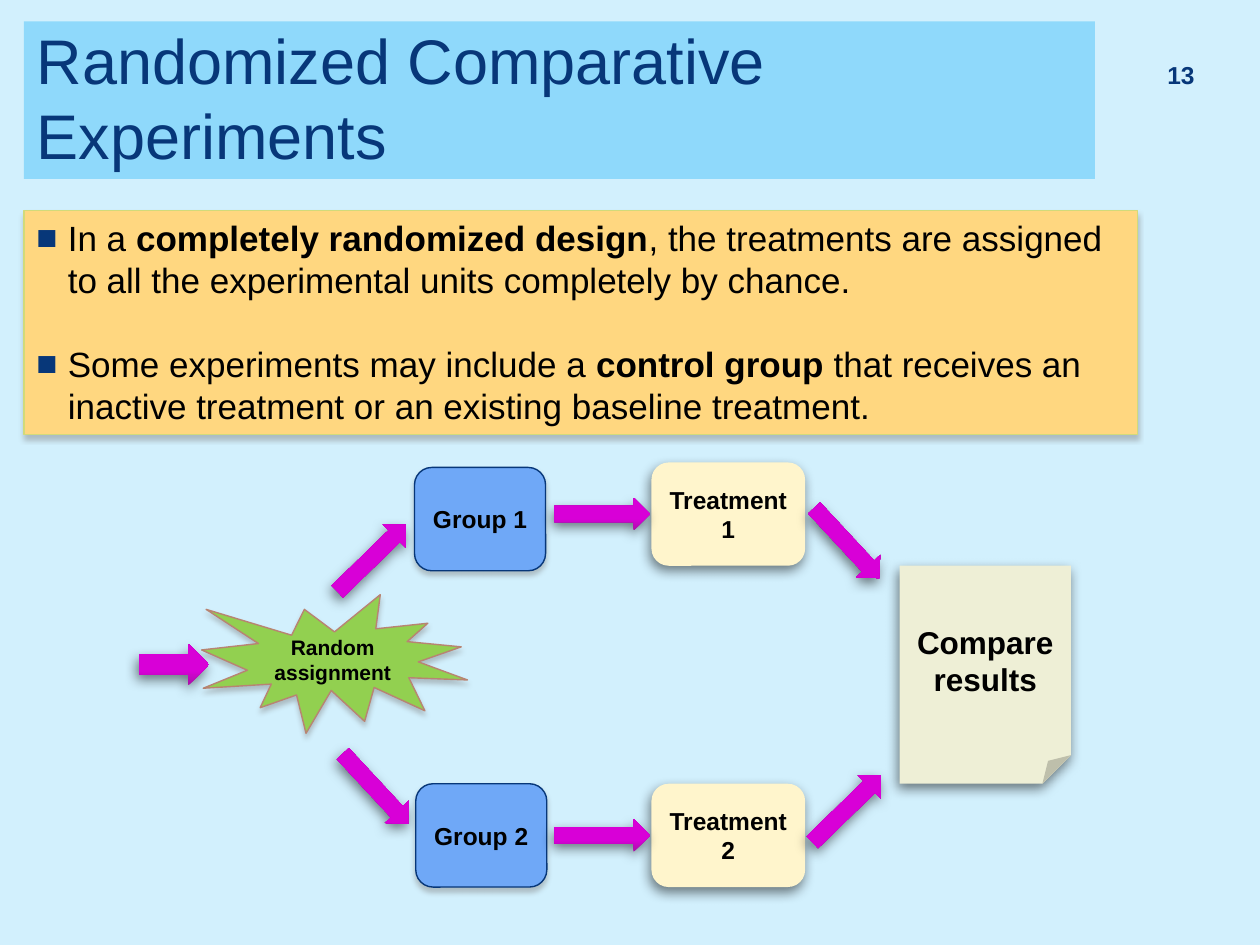
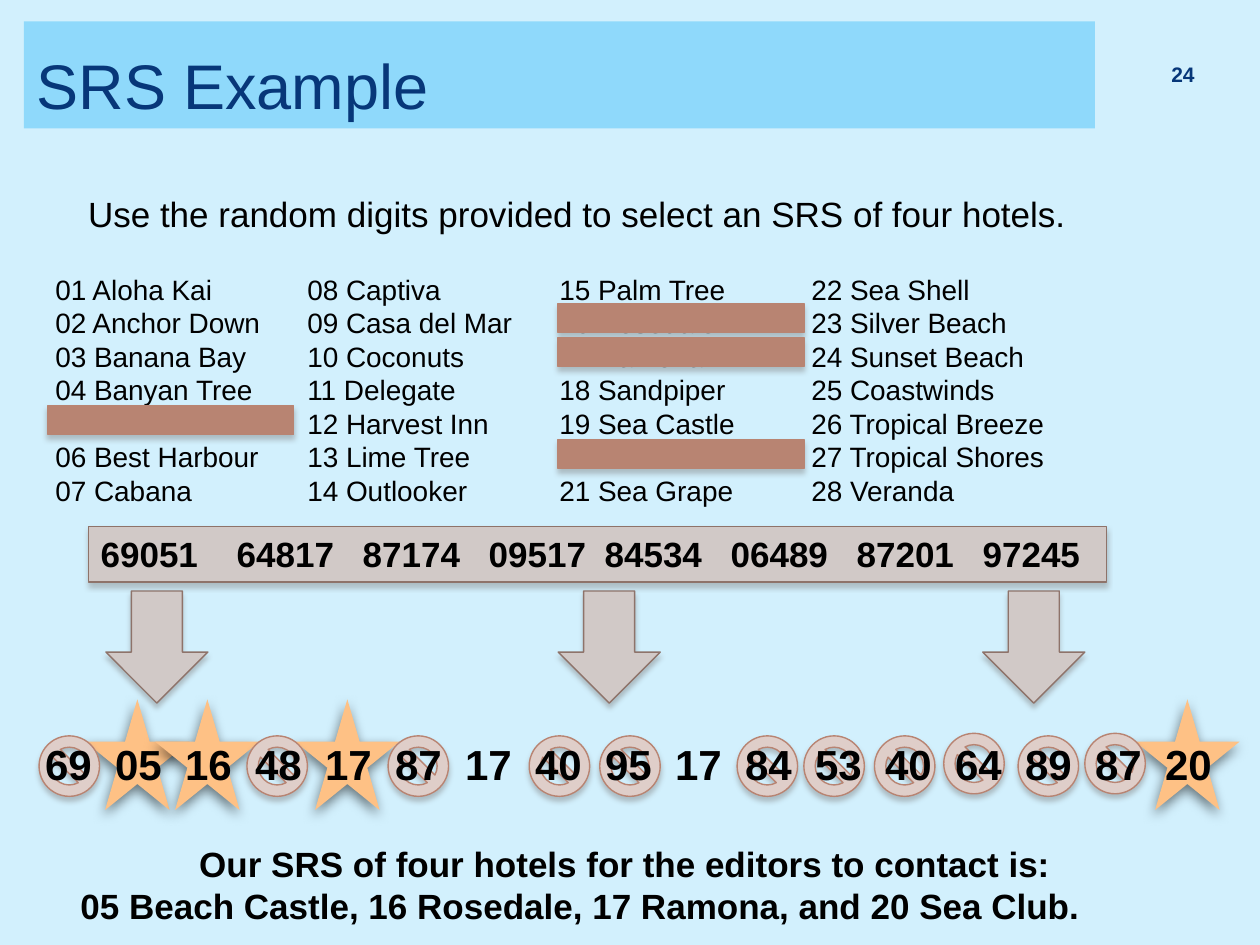
from lxml.etree import SubElement
from pptx import Presentation
from pptx.dml.color import RGBColor
from pptx.enum.shapes import MSO_SHAPE as Shape
from pptx.enum.text import MSO_ANCHOR as Anchor, MSO_AUTO_SIZE as AutoSize, PP_ALIGN as Align
from pptx.oxml.ns import qn
from pptx.util import Inches, Pt

NAVY, BLACK, SKY, PALE = "073779", "000000", "8FD9FB", "D2F0FD"
ROSE, TAUPE, TAUPE_EDGE = "B88472", "D1C9C7", "8E736A"
SOFT = ("808080", 45, 3, 2.4, 90)
DEEP = ("000000", 50, 7, 3, 110)

DESIGN_POINTS = [
    "In a *completely randomized design*, the treatments are assigned to all "
    "the experimental units completely by chance.",
    "Some experiments may include a *control group* that receives an inactive "
    "treatment or an existing baseline treatment.",
]
GROUP = {"fill": "6FA8F7", "line": NAVY, "shadow": SOFT}
TREATMENT = {"fill": "FFF5CC", "shadow": DEEP}
STAGES = [
    ("Random assignment", Shape.EXPLOSION1, (1.6, 4.72, 2.11, 1.1), 12,
     {"fill": "92D050", "line": ROSE, "shadow": SOFT}),
    ("Group 1", Shape.ROUNDED_RECTANGLE, (3.29, 3.71, 1.04, 0.82), 14, GROUP),
    ("Group 2", Shape.ROUNDED_RECTANGLE, (3.3, 6.22, 1.04, 0.82), 14, GROUP),
    ("Treatment 1", Shape.ROUNDED_RECTANGLE, (5.17, 3.67, 1.22, 0.82), 14, TREATMENT),
    ("Treatment 2", Shape.ROUNDED_RECTANGLE, (5.17, 6.22, 1.22, 0.82), 14, TREATMENT),
    ("Compare results", Shape.FOLDED_CORNER, (7.14, 4.49, 1.36, 1.73), 18,
     {"fill": "EEEFD6", "shadow": DEEP}),
]
FLOW_SIZE = (0.76, 0.26)
FLOWS = [
    ((2.57, 4.3), 315.8), ((2.6, 6.13), 47.1),
    ((4.4, 3.95), 0), ((4.4, 6.5), 0),
    ((6.34, 6.29), 315.8), ((6.34, 4.18), 47.1),
]

HOTELS = [
    "Aloha Kai", "Anchor Down", "Banana Bay", "Banyan Tree", "Beach Castle",
    "Best Harbour", "Cabana", "Captiva", "Casa del Mar", "Coconuts", "Delegate",
    "Harvest Inn", "Lime Tree", "Outlooker", "Palm Tree", "Rosedale", "Ramona",
    "Sandpiper", "Sea Castle", "Sea Club", "Sea Grape", "Sea Shell",
    "Silver Beach", "Sunset Beach", "Coastwinds", "Tropical Breeze",
    "Tropical Shores", "Veranda",
]
HOTEL_ROWS = 7
CHOSEN_BARS = [(0.38, 3.22), (4.43, 2.41), (4.43, 2.68), (4.43, 3.49)]
RANDOM_DIGITS = ["69051", "64817", "87174", "09517", "84534", "06489", "87201", "97245"]
DIGIT_STOPS = [1.08, 2.08, 3.08, 4, 5, 6, 7]
DOWN_ARROW_LEFTS = [0.84, 4.43, 7.8]
DRAWS = "69 05 16 48 17 87 17 40 95 17 84 53 40 64 89 87 20".split()
DRAW_PITCH = 40 / 72
STAR_DRAWS = [1, 2, 4, 16]
REJECTED_LEFTS = {
    5.84: [0.31, 1.96, 3.08, 4.2, 4.76, 5.85, 6.38, 6.94, 8.08],
    5.82: [7.49, 8.61],
}
CONCLUSION = [
    "Our SRS of four hotels for the editors to contact is:",
    "05 Beach Castle, 16 Rosedale, 17 Ramona, and 20 Sea Club.",
]


def color(value):
    return RGBColor.from_string(value)


def place(shape, box):
    for side, length in zip(("left", "top", "width", "height"), box):
        setattr(shape, side, Inches(length))


def add_shadow(shape, shade, alpha, blur, distance, angle):
    effects = shape._element.spPr.find(qn("a:effectLst"))
    outer = SubElement(effects, qn("a:outerShdw"), blurRad=str(Pt(blur)),
                       dist=str(Pt(distance)), dir=str(angle * 60000),
                       algn="ctr", rotWithShape="0")
    tint = SubElement(outer, qn("a:srgbClr"), val=shade)
    SubElement(tint, qn("a:alpha"), val=str(alpha * 1000))


def draw(slide, kind, box, fill=None, line=None, shadow=None):
    shape = slide.shapes.add_shape(kind, *map(Inches, box))
    shape.shadow.inherit = False
    if fill:
        shape.fill.solid()
        shape.fill.fore_color.rgb = color(fill)
    if line:
        shape.line.color.rgb = color(line)
        shape.line.width = Pt(0.79)
    else:
        shape.line.fill.background()
    if shadow:
        add_shadow(shape, *shadow)
    return shape


def add_bullet(paragraph):
    props = paragraph._p.get_or_add_pPr()
    props.set("marL", str(Inches(0.25)))
    props.set("indent", str(-Inches(0.25)))
    SubElement(SubElement(props, qn("a:buClr")), qn("a:srgbClr"), val=NAVY)
    SubElement(props, qn("a:buFont"), typeface="Arial")
    SubElement(props, qn("a:buChar"), char="■")


def add_tabs(paragraph, stops):
    tabs = SubElement(paragraph._p.get_or_add_pPr(), qn("a:tabLst"))
    for stop in stops:
        SubElement(tabs, qn("a:tab"), pos=str(Inches(stop)), algn="l")


def write(shape, lines, size, ink=BLACK, bold=False, align=Align.LEFT,
          anchor=Anchor.TOP, wrap=True, fit=AutoSize.NONE, bullets=False, stops=()):
    frame = shape.text_frame
    settings = {"word_wrap": wrap, "auto_size": fit, "vertical_anchor": anchor}
    for name, value in settings.items():
        setattr(frame, name, value)
    for index, line in enumerate(lines):
        paragraph = frame.add_paragraph() if index else frame.paragraphs[0]
        if bullets:
            add_bullet(paragraph)
        if stops:
            add_tabs(paragraph, stops)
        paragraph.alignment = align
        for part, words in enumerate(line.split("*")):
            run = paragraph.add_run()
            run.text = words
            font = {"name": "Arial", "size": Pt(size), "bold": bold or part % 2 == 1}
            for name, value in font.items():
                setattr(run.font, name, value)
            run.font.color.rgb = color(ink)
    return frame


def label(slide, box, lines, size, **style):
    return write(slide.shapes.add_textbox(*map(Inches, box)), lines, size, **style)


def start_slide(deck, heading, band_height, number, number_size):
    slide = deck.slides.add_slide(deck.slide_layouts[5])
    title = slide.shapes.title
    place(title, (0.19, 0.17, 8.5, band_height))
    title.fill.solid()
    title.fill.fore_color.rgb = color(SKY)
    write(title, [heading], 36, ink=NAVY, anchor=Anchor.BOTTOM)
    label(slide, (9.03, 0.39, 0.55, 0.4), [number], number_size, ink=NAVY,
          bold=True, align=Align.RIGHT, anchor=Anchor.MIDDLE)
    return slide


def flow_arrow(slide, box, turn=0):
    arrow = draw(slide, Shape.RIGHT_ARROW, box, shadow=DEEP)
    arrow.rotation = turn
    arrow.fill.gradient()
    arrow.fill.gradient_angle = 90
    for stop, (position, shade) in zip(arrow.fill.gradient_stops,
                                       [(0, "A811A6"), (0.35, "D800D7")]):
        stop.position = position
        stop.color.rgb = color(shade)


def build_experiments(deck):
    slide = start_slide(deck, "Randomized Comparative Experiments", 1.25, "13", 14)
    points = draw(slide, Shape.RECTANGLE, (0.19, 1.67, 8.84, 1.78),
                  "FFD780", "D2DA7A", SOFT)
    frame = write(points, DESIGN_POINTS, 20, bullets=True, fit=AutoSize.SHAPE_TO_FIT_TEXT)
    frame.paragraphs[0].space_after = Pt(6)
    frame.paragraphs[1].space_before = Pt(18)

    for words, kind, box, size, look in STAGES:
        write(draw(slide, kind, box, **look), [words], size, bold=True,
              align=Align.CENTER, anchor=Anchor.MIDDLE)
    flow_arrow(slide, (1.1, 5.11, 0.56, 0.33))
    for corner, turn in FLOWS:
        flow_arrow(slide, corner + FLOW_SIZE, turn)


def build_srs(deck):
    slide = start_slide(deck, "SRS Example", 0.85, "24", 12)
    grow = AutoSize.SHAPE_TO_FIT_TEXT
    label(slide, (0.6, 1.48, 8.02, 0.44),
          ["Use the random digits provided to select an SRS of four hotels."],
          20, wrap=False, fit=grow)
    numbered = [f"{number:02} {hotel}" for number, hotel in enumerate(HOTELS, 1)]
    label(slide, (0.34, 2.11, 8.29, 1.99),
          ["\t".join(numbered[row::HOTEL_ROWS]) for row in range(HOTEL_ROWS)],
          16, stops=[2, 4, 6], fit=grow)

    for left, top in CHOSEN_BARS:
        draw(slide, Shape.RECTANGLE, (left, top, 1.95, 0.23), ROSE, ROSE, SOFT)
    for index in STAR_DRAWS:
        draw(slide, Shape.STAR_5_POINT, (0.12 + index * DRAW_PITCH, 5.55, 0.83, 0.88),
             "FEC185", shadow=DEEP)

    strip = draw(slide, Shape.RECTANGLE, (0.7, 4.18, 8.08, 0.44), TAUPE, TAUPE_EDGE, SOFT)
    write(strip, ["\t".join(RANDOM_DIGITS)], 20, bold=True, stops=DIGIT_STOPS, fit=grow)
    for left in DOWN_ARROW_LEFTS:
        draw(slide, Shape.DOWN_ARROW, (left, 4.69, 0.81, 0.89), TAUPE, TAUPE_EDGE, SOFT)

    for top, lefts in REJECTED_LEFTS.items():
        for left in lefts:
            draw(slide, Shape.NO_SYMBOL, (left, top, 0.48, 0.48), "DFCEC9", ROSE, SOFT)
    label(slide, (0.26, 5.81, 9.59, 0.5), ["\t".join(DRAWS)], 24, bold=True, fit=grow,
          stops=[index * DRAW_PITCH for index in range(1, len(DRAWS))])
    closing = label(slide, (0.54, 6.64, 8.84, 0.77), CONCLUSION, 20, bold=True, fit=grow)
    closing.paragraphs[0].alignment = Align.CENTER


def main():
    deck = Presentation()
    deck.slide_width, deck.slide_height = Inches(10), Inches(7.5)
    backdrop = deck.slide_master.background.fill
    backdrop.solid()
    backdrop.fore_color.rgb = color(PALE)
    build_experiments(deck)
    build_srs(deck)
    deck.save("out.pptx")


if __name__ == "__main__":
    main()
